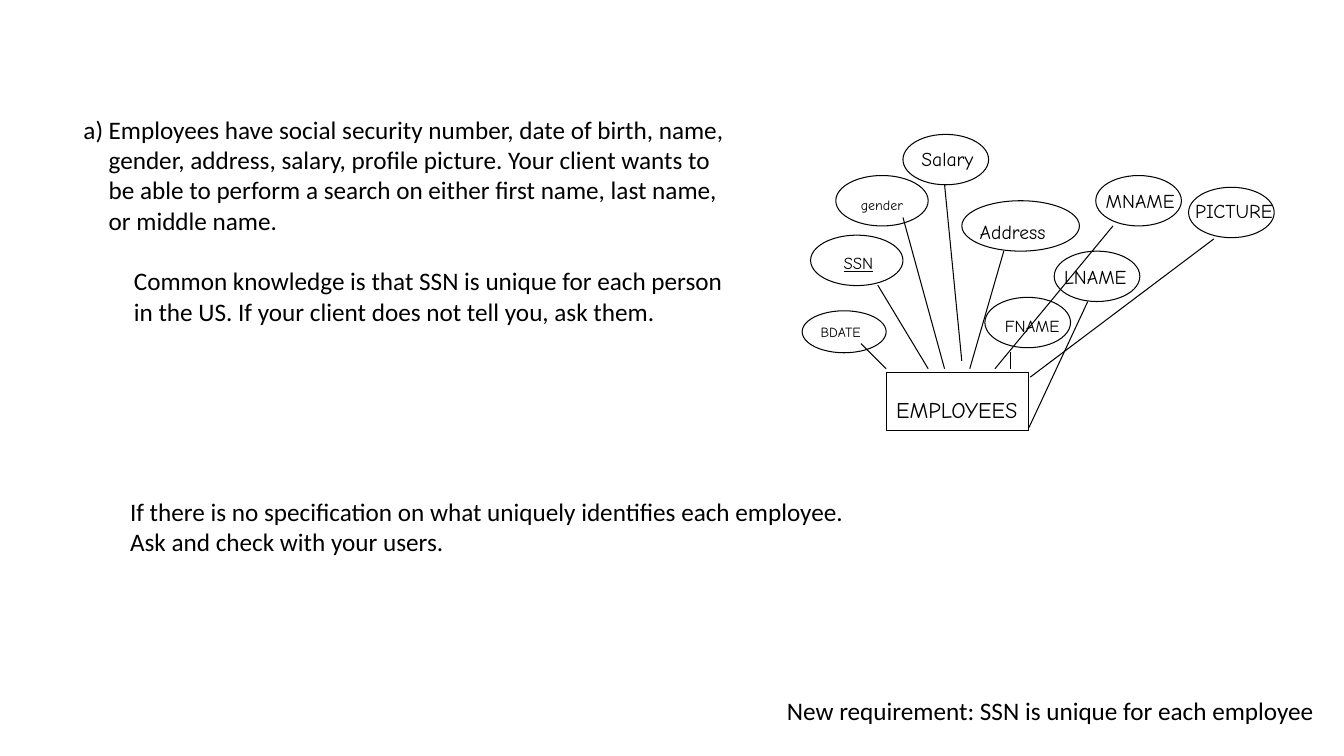
from lxml import etree
from pptx import Presentation
from pptx.dml.color import RGBColor
from pptx.enum.shapes import MSO_CONNECTOR, MSO_SHAPE
from pptx.enum.text import MSO_AUTO_SIZE
from pptx.oxml.ns import qn
from pptx.util import Inches, Pt

OVAL = MSO_SHAPE.OVAL
RECT = MSO_SHAPE.RECTANGLE
LINE = MSO_CONNECTOR.STRAIGHT
GROW = MSO_AUTO_SIZE.SHAPE_TO_FIT_TEXT
COLS, ROWS = 160, 90


def tint(code):
    return RGBColor.from_string(code)


class Board:
    body = "Calibri"
    hand = "Comic Neue"
    ink = "000000"
    weight = 0.75

    def __init__(self, deck):
        self.slide = deck.slides.add_slide(deck.slide_layouts[6])
        self.wide = deck.slide_width
        self.high = deck.slide_height

    def grid(self, *cells):
        sides = (self.wide / COLS, self.high / ROWS)
        return [round(cell * sides[i % 2]) for i, cell in enumerate(cells)]

    def stroke(self, item):
        item.line.color.rgb = tint(self.ink)
        item.line.width = Pt(self.weight)

    def shape(self, kind, box):
        item = self.slide.shapes.add_shape(kind, *self.grid(*box))
        item.shadow.inherit = False
        item.fill.background()
        self.stroke(item)

    def link(self, ends):
        item = self.slide.shapes.add_connector(LINE, *self.grid(*ends))
        self.stroke(item)
        etree.SubElement(item._element.spPr, qn("a:effectLst"))

    def text(self, box, lines, size=18, font=None, wrap=False, under=None):
        frame = self.slide.shapes.add_textbox(*self.grid(*box)).text_frame
        frame.word_wrap = wrap
        frame.auto_size = GROW
        for i, line in enumerate(lines):
            para = frame.add_paragraph() if i else frame.paragraphs[0]
            run = para.add_run()
            run.text = line
            run.font.size = Pt(size)
            run.font.name = font or self.body
            run.font.color.rgb = tint(self.ink)
            run.font.underline = under
        return frame.paragraphs

    def indent(self, para, left, first):
        props = para._p.get_or_add_pPr()
        props.set("marL", str(Inches(left)))
        props.set("indent", str(Inches(first)))
        return props


deck = Presentation()
deck.slide_width, deck.slide_height = Inches(13.33), Inches(7.5)
board = Board(deck)

task, hint = board.text((8.75, 13, 80, 26.6), [
    "Employees have social security number, date of birth, name, gender, "
    "address, salary, profile picture. Your client wants to be able to "
    "perform a search on either first name, last name, or middle name. ",
    "Common knowledge is that SSN is unique for each person in the US. "
    "If your client does not tell you, ask them."], wrap=True)
mark = etree.SubElement(board.indent(task, 0.25, -0.25), qn("a:buAutoNum"))
mark.set("type", "alphaLcParenR")
hint.level = 1
board.indent(hint, 0.5, 0)
hint.space_before = Pt(21.9)

board.shape(RECT, (105.5, 44.3, 17, 7))
board.text((105.5, 46.55, 18.5, 4.45), ["EMPLOYEES"], 16, board.hand)

fields = [
    ("BDATE", 10, (95.5, 37, 10, 5), (96.5, 37.9, 8, 3.25)),
    ("SSN", 12, (96.5, 28, 11, 6), (99.25, 29.5, 6.85, 3.6)),
    ("gender", 10, (99.5, 20.9, 11, 6), (101.3, 22.8, 7.8, 3.25)),
    ("Salary", 14, (107.5, 16, 10.2, 6), (108.5, 16.9, 9.35, 3.95)),
    ("Address", 14, (114.5, 23.9, 14, 6), (115.45, 25.55, 11.5, 3.95)),
    ("FNAME", 12, (117.25, 35.4, 10.2, 6), (118.45, 37, 9.85, 3.6)),
    ("LNAME", 14, (125.5, 29.9, 10.2, 6), (125.5, 30.95, 10.9, 4.1)),
    ("MNAME", 14, (130.45, 20.9, 10.2, 6), (130.45, 21.95, 11.65, 4.1)),
    ("PICTURE", 14, (141.5, 22.3, 10.2, 6), (141.1, 23.15, 12.6, 4.1)),
]
for name, size, oval, label in fields:
    board.shape(OVAL, oval)
    board.text(label, [name], size, board.hand, under=name == "SSN" or None)

links = [
    (105.5, 43.9, 102.5, 40.9),
    (110.5, 43.9, 104.5, 33.95),
    (112.45, 43.9, 107.5, 25.9),
    (112.45, 21.95, 114.5, 42.95),
    (119.5, 29.9, 115.45, 43.9),
    (120.25, 43.9, 120.25, 41.9),
    (129.5, 35.9, 122.5, 50.9),
    (132.5, 26.9, 118.45, 43.9),
    (122.65, 44.9, 144.5, 28.45),
]
for ends in links:
    board.link(ends)

board.text((92.5, 82.2, 65.9, 4.8),
           ["New requirement: SSN is unique for each employee"])
board.text((14.3, 58.45, 88.45, 8.5), [
    "If there is no specification on what uniquely identifies each employee.",
    "Ask and check with your users."])

deck.save("out.pptx")
